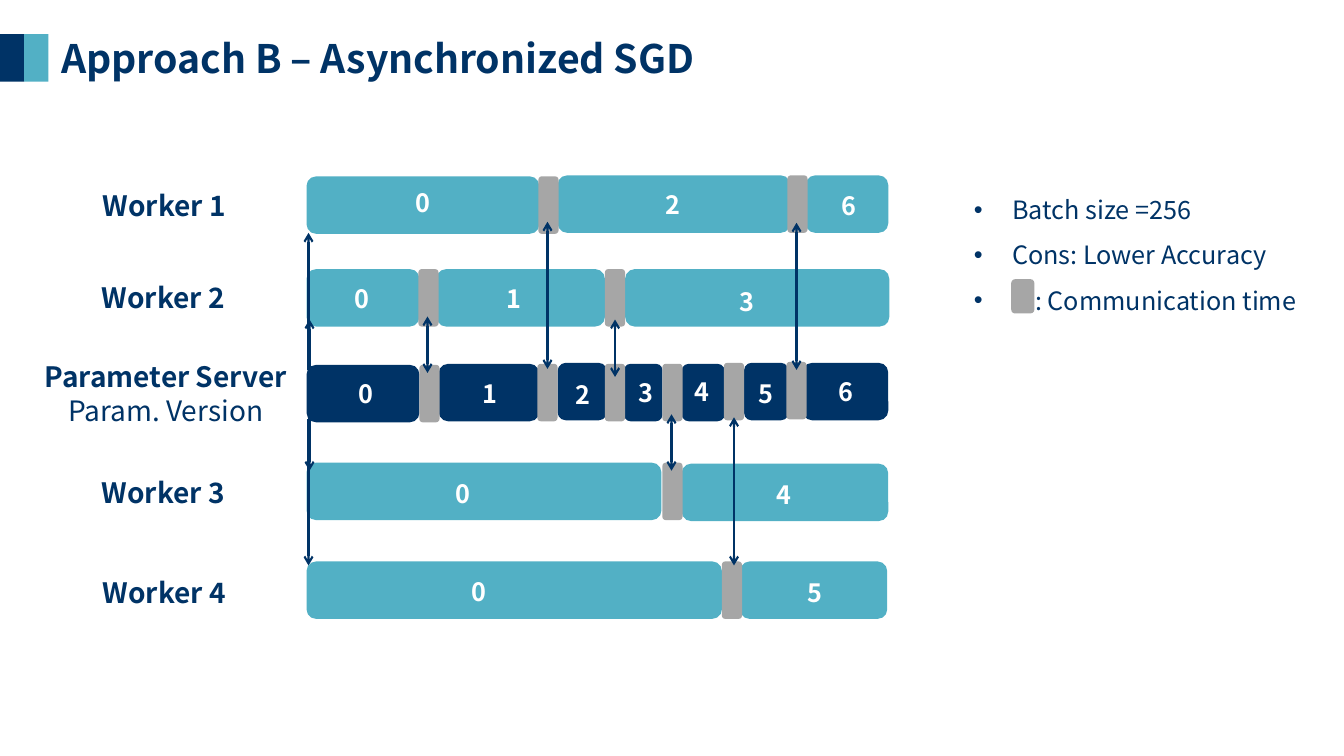
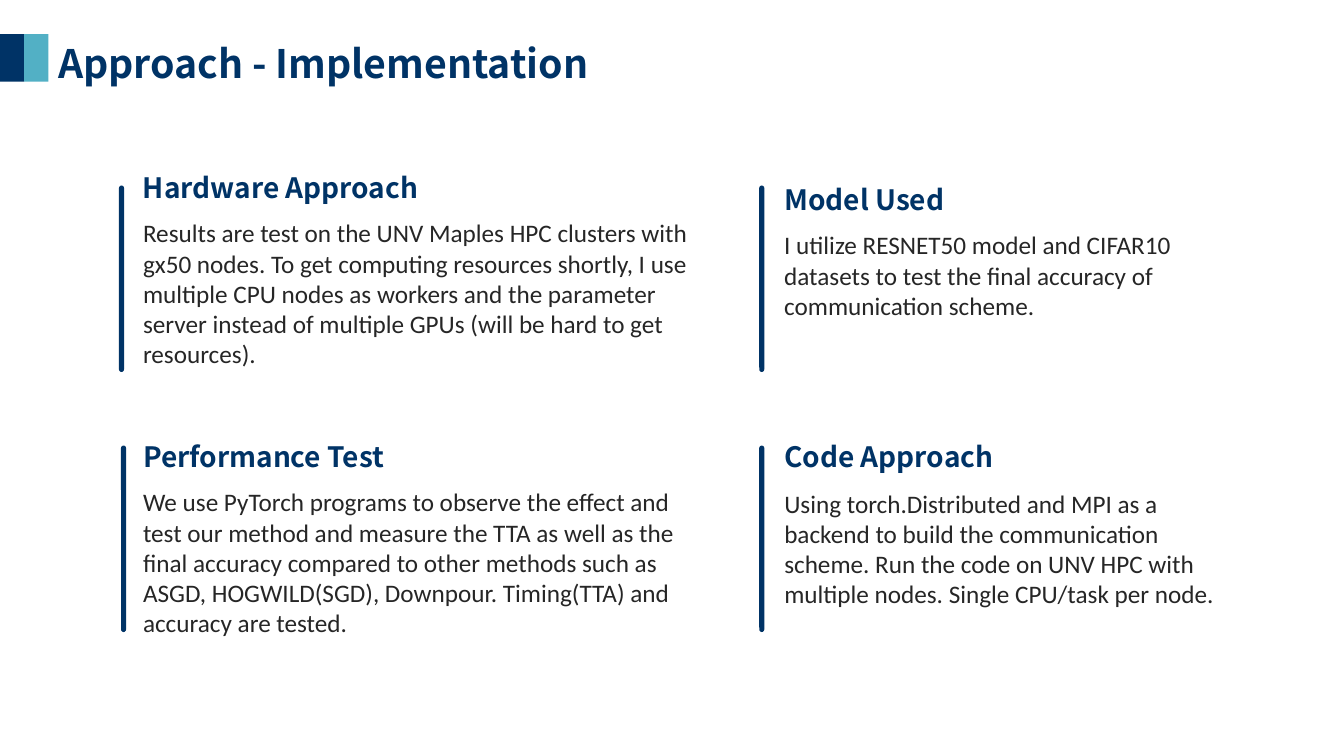
from lxml import etree
from pptx import Presentation
from pptx.dml.color import RGBColor
from pptx.enum.shapes import MSO_CONNECTOR as Link, MSO_SHAPE as Kind
from pptx.enum.text import MSO_AUTO_SIZE as Fit, PP_ALIGN as Align
from pptx.oxml.ns import qn
from pptx.util import Inches, Pt

NAVY = RGBColor(0x00, 0x33, 0x66)
TEAL = RGBColor(0x52, 0xB0, 0xC5)
GRAY = RGBColor(0xA6, 0xA6, 0xA6)
INK = RGBColor(0x26, 0x26, 0x26)
WHITE = RGBColor(0xFF, 0xFF, 0xFF)
SANS = "Noto Sans CJK SC"
BODY = "Calibri"
BAR_H = 0.57
GAP_W = 0.2
NUM_W = 2.48

NAMES = [
    ("Worker 1", 0.92, 1.82),
    ("Worker 2", 0.91, 2.73),
    ("Worker 3", 0.91, 4.67),
    ("Worker 4", 0.92, 5.66),
]
SERVER = ["Parameter Server", "Param. Version"]

# left, top, width, version, version centre, version top
ROWS = [
    (TEAL, [(3.04, 1.75, 2.31, "0", 4.19, 1.81),
            (5.53, 1.74, 2.31, "2", 6.67, 1.83),
            (7.99, 1.74, 0.82, "6", 8.42, 1.84)]),
    (TEAL, [(3.04, 2.67, 1.12, "0", 3.59, 2.76),
            (4.33, 2.67, 1.67, "1", 5.10, 2.76),
            (6.20, 2.67, 2.62, "3", 7.41, 2.79)]),
    (NAVY, [(3.04, 3.62, 1.12, "0", 3.63, 3.70),
            (4.35, 3.61, 1.00, "1", 4.86, 3.70),
            (5.53, 3.60, 0.49, "2", 5.78, 3.71),
            (6.19, 3.61, 0.38, "3", 6.41, 3.69),
            (6.76, 3.61, 0.43, "4", 6.96, 3.68),
            (7.38, 3.60, 0.44, "5", 7.60, 3.70),
            (7.96, 3.60, 0.85, "6", 8.39, 3.68)]),
    (TEAL, [(3.04, 4.59, 3.52, "0", 4.59, 4.70),
            (6.76, 4.60, 2.05, "4", 7.78, 4.71)]),
    (TEAL, [(3.04, 5.57, 4.12, "0", 4.75, 5.67),
            (7.34, 5.57, 1.46, "5", 8.08, 5.68)]),
]
GAPS = [
    (5.34, 1.75), (7.81, 1.74), (4.15, 2.67), (6.00, 2.67),
    (4.16, 3.62), (5.33, 3.61), (6.00, 3.61), (6.57, 3.61),
    (7.18, 3.60), (7.80, 3.59), (6.57, 4.59), (7.16, 5.57),
]
STARTS = [(3.06, 3.67, 2.31), (3.07, 4.08, 3.17),
          (3.06, 4.16, 5.61), (3.07, 4.06, 4.67)]
SYNCS = [(4.24, 3.14, 3.70), (5.43, 2.20, 3.66), (6.10, 3.17, 3.74),
         (6.66, 4.11, 4.67), (7.28, 4.14, 5.61), (7.90, 2.21, 3.67)]
NOTES = [("Batch size =256", 0.38), ("Cons: Lower Accuracy", 0.38),
         (": Communication time", 0.61)]

# heading, left, heading top, heading width, text top, text width, height, rule left, rule top
CARDS = [
    ("Hardware Approach", 1.32, 1.64, 3.34, 2.11, 5.79, 1.85, 1.18, 1.84,
     "Results are test on the UNV Maples HPC clusters with gx50 nodes. "
     "To get computing resources shortly, I use multiple CPU nodes as workers "
     "and the parameter server instead of multiple GPUs "
     "(will be hard to get resources)."),
    ("Model Used", 7.68, 1.76, 3.34, 2.23, 4.07, 1.01, 7.53, 1.84,
     "I utilize RESNET50 model and CIFAR10 datasets to test the final "
     "accuracy of communication scheme."),
    ("Performance Test", 1.32, 4.31, 5.55, 4.78, 5.55, 1.85, 1.20, 4.42,
     "We use PyTorch programs to observe the effect and test our method and "
     "measure the TTA as well as the final accuracy compared to other methods "
     "such as ASGD, HOGWILD(SGD), Downpour. Timing(TTA) and accuracy are tested."),
    ("Code Approach", 7.68, 4.31, 2.80, 4.79, 4.79, 1.31, 7.53, 4.42,
     "Using torch.Distributed and MPI as a backend to build the communication "
     "scheme. Run the code on UNV HPC with multiple nodes. "
     "Single CPU/task per node."),
]


def add_box(slide, x, y, w, h):
    frame = slide.shapes.add_textbox(Inches(x), Inches(y), Inches(w), Inches(h)).text_frame
    frame.word_wrap = True
    frame.auto_size = Fit.SHAPE_TO_FIT_TEXT
    return frame


def add_run(para, text, size, color=NAVY, bold=False, face=SANS):
    run = para.add_run()
    run.text = text
    font = run.font
    font.size, font.bold, font.name = Pt(size), bold, face
    font.color.rgb = color


def add_text(slide, text, x, y, w, h, size, color=NAVY, bold=True, face=SANS, align=None):
    para = add_box(slide, x, y, w, h).paragraphs[0]
    para.alignment = align
    add_run(para, text, size, color, bold, face)


def add_block(slide, kind, x, y, w, h, color):
    block = slide.shapes.add_shape(kind, Inches(x), Inches(y), Inches(w), Inches(h))
    block.shadow.inherit = False
    block.fill.solid()
    block.fill.fore_color.rgb = color
    block.line.fill.background()
    return block


def add_arrow(slide, x, start, end, ends):
    line = slide.shapes.add_connector(Link.STRAIGHT, Inches(x), Inches(start),
                                      Inches(x), Inches(end))
    line.line.color.rgb = NAVY
    line.line.width = Pt(1.5)
    props = line._element.spPr
    for end_tag in ends:
        etree.SubElement(props.find(qn("a:ln")), qn(end_tag), type="arrow")
    etree.SubElement(props, qn("a:effectLst"))


def add_slide(deck, title, x, y, w):
    slide = deck.slides.add_slide(deck.slide_layouts[6])
    add_text(slide, title, x, y, w, 0.57, 28)
    for i, color in enumerate((NAVY, TEAL)):
        add_block(slide, Kind.RECTANGLE, 0.24 * i, 0.34, 0.24, 0.47, color)
    return slide


def add_notes(slide):
    frame = add_box(slide, 9.56, 1.73, 4.13, 1.4)
    for i, (text, indent) in enumerate(NOTES):
        para = frame.add_paragraph() if i else frame.paragraphs[0]
        para.line_spacing = 1.5
        add_run(para, text, 18)
        props = para._p.get_or_add_pPr()
        props.set("marL", str(Inches(indent)))
        props.set("indent", str(-Inches(indent)))
        etree.SubElement(props, qn("a:buFont"), typeface="Arial")
        etree.SubElement(props, qn("a:buChar"), char="•")
    add_block(slide, Kind.ROUNDED_RECTANGLE, 10.03, 2.77, 0.23, 0.34, GRAY)


def draw_async(deck):
    slide = add_slide(deck, "Approach B – Asynchronized SGD", 0.51, 0.29, 6.92)
    for text, x, y in NAMES:
        add_text(slide, text, x, y, 2.17, 0.44, 20)
    frame = add_box(slide, -0.42, 3.52, 4.13, 0.77)
    for i, text in enumerate(SERVER):
        para = frame.add_paragraph() if i else frame.paragraphs[0]
        para.alignment = Align.CENTER
        add_run(para, text, 20, bold=i == 0)
    for color, bars in ROWS:
        for x, y, w, *_ in bars:
            add_block(slide, Kind.ROUNDED_RECTANGLE, x, y, w, BAR_H, color)
    for x, y in GAPS:
        add_block(slide, Kind.ROUNDED_RECTANGLE, x, y, GAP_W, BAR_H, GRAY)
    for x, start, end in STARTS:
        add_arrow(slide, x, start, end, ["a:tailEnd"])
    for x, start, end in SYNCS:
        add_arrow(slide, x, start, end, ["a:headEnd", "a:tailEnd"])
    for _, bars in ROWS:
        for *_, num, mid, top in bars:
            add_text(slide, num, mid - NUM_W / 2, top, NUM_W, 0.4, 18, WHITE,
                     align=Align.CENTER)
    add_notes(slide)


def draw_cards(deck):
    slide = add_slide(deck, "Approach - Implementation", 0.48, 0.34, 10.56)
    for head, x, top, wide, y, w, h, rule_x, rule_y, text in CARDS:
        add_text(slide, text, x, y, w, h, 18, INK, False, BODY)
        add_text(slide, head, x, top, wide, 0.44, 20)
        rule = add_block(slide, Kind.ROUND_2_SAME_RECTANGLE, rule_x, rule_y, 0.05, 1.85, NAVY)
        rule.rotation = 180
        for i in range(2):
            rule.adjustments[i] = 0.5


def main():
    deck = Presentation()
    deck.slide_width, deck.slide_height = Inches(13.33), Inches(7.5)
    draw_async(deck)
    draw_cards(deck)
    deck.save("out.pptx")


if __name__ == "__main__":
    main()
